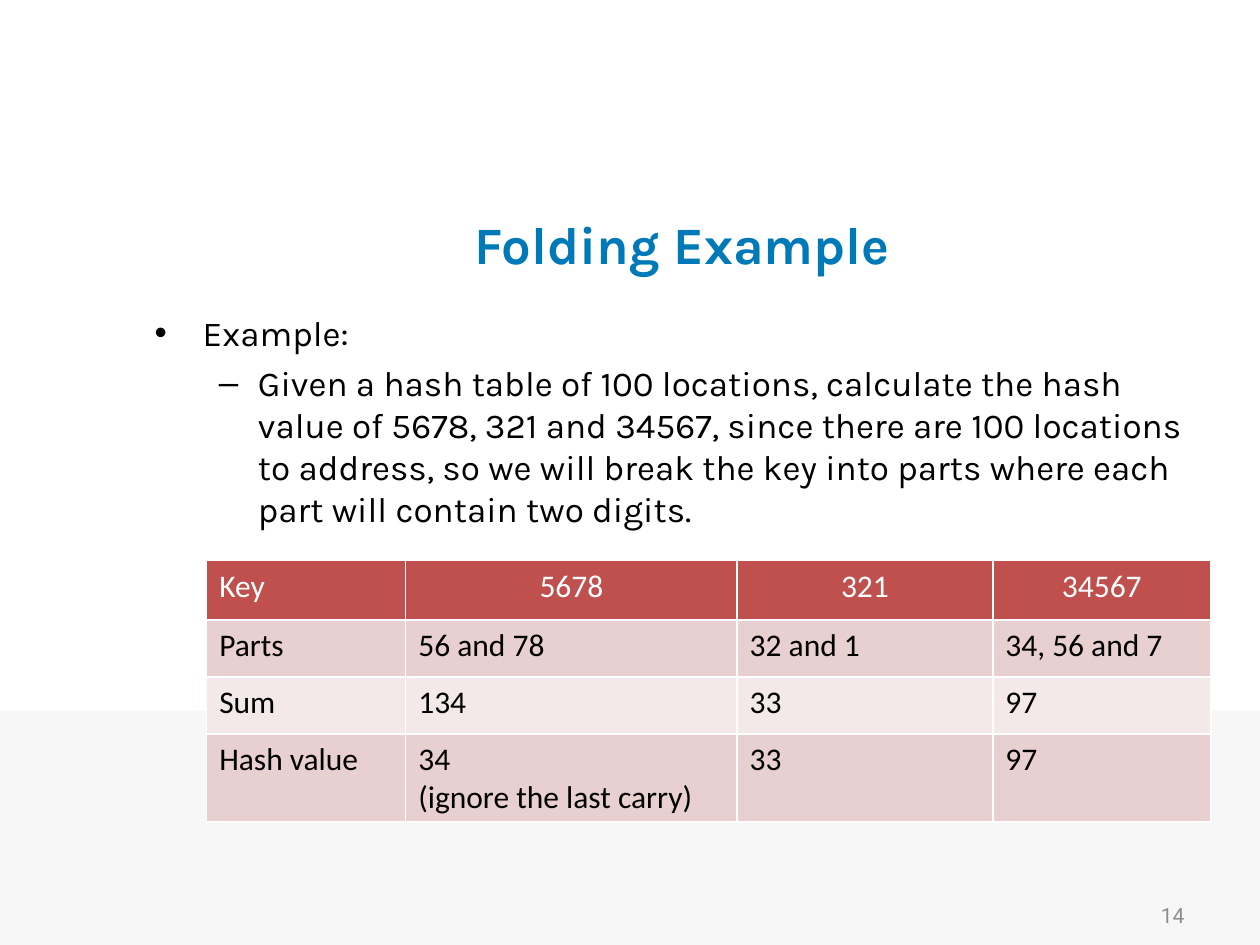
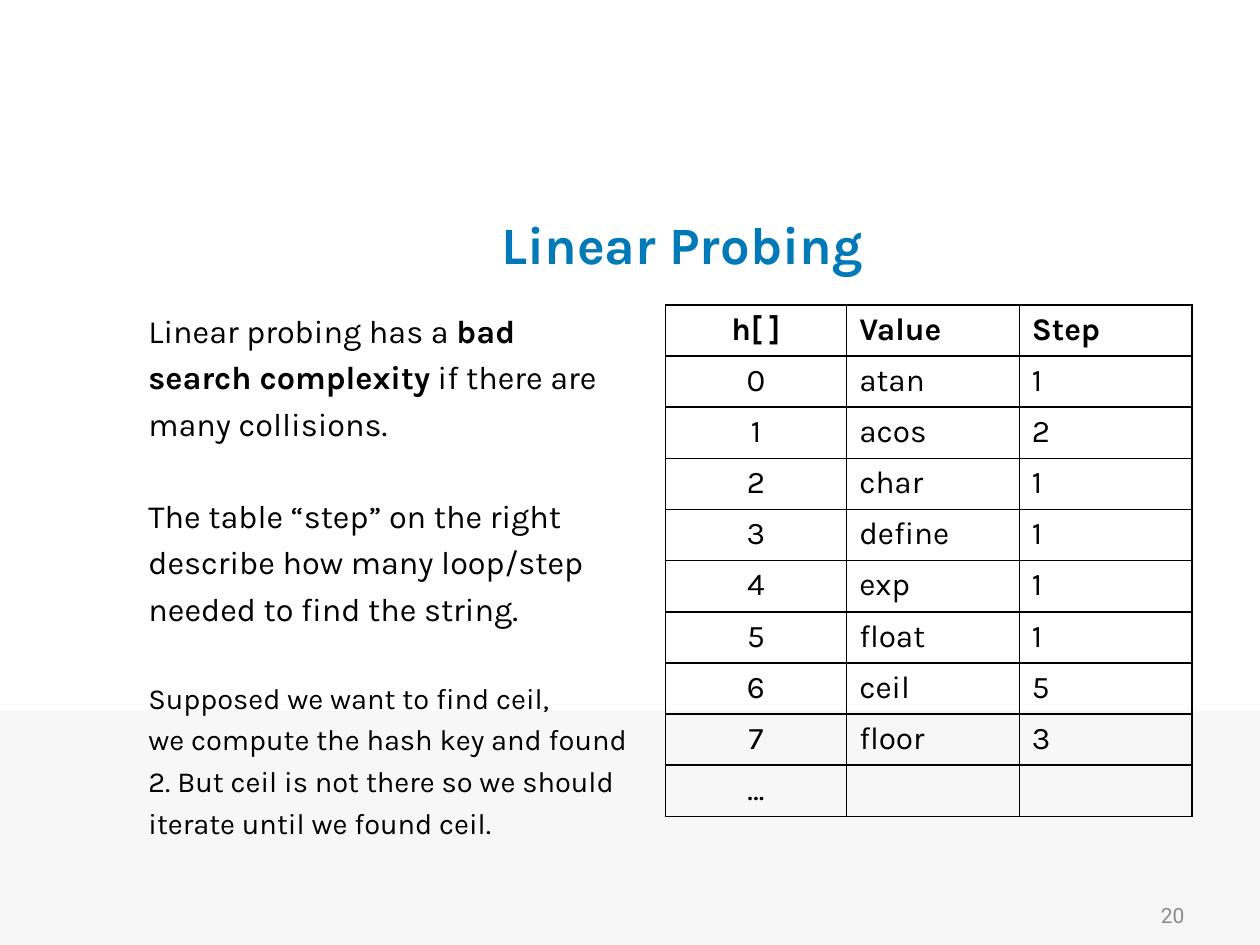
"""Build two hashing slides: a folding example and the cost of linear probing."""
from dataclasses import dataclass

from lxml.etree import SubElement
from pptx import Presentation
from pptx.dml.color import RGBColor
from pptx.enum.shapes import MSO_SHAPE as Preset
from pptx.enum.text import MSO_ANCHOR as Anchor, MSO_AUTO_SIZE as AutoSize, PP_ALIGN as Align
from pptx.oxml.ns import qn
from pptx.util import Pt


@dataclass(frozen=True)
class Theme:
    text_font: str = "Karla"
    table_font: str = "Calibri"
    number_font: str = "Roboto"
    title_color: str = "0079B8"
    text_color: str = "000000"
    number_color: str = "8C8C8C"
    white: str = "FFFFFF"
    band_color: str = "F7F7F7"
    header_fill: str = "C0504D"
    stripe_fills: tuple = ("E8D0D0", "F4E9E9")
    title_size: float = 30
    body_size: float = 20
    prose_size: float = 18.5
    note_size: float = 16.6
    table_size: float = 18
    number_size: float = 12
    paragraph_gap: float = 0.234
    blank_line: float = 26


THEME = Theme()

SLIDE_SIZE = (720, 540)
BAND_BOX = (0, 406, 720, 134)
TITLE_BOX = (77.76, 108, 624.24, 62.64)
BODY_BOX = (77.76, 174.24, 624.24, 306)
NUMBER_BOX = (516.24, 508.32, 167.76, 28.8)

FOLDING_BULLETS = [
    ("•", 31, -27.4, "Example:"),
    ("–", 62.6, -22.3,
     "Given a hash table of 100 locations, calculate the hash value of 5678, 321 and 34567, "
     "since there are 100 locations to address, so we will break the key into parts where each "
     "part will contain two digits."),
]
FOLDING_ROWS = [
    ("Key", "5678", "321", "34567"),
    ("Parts", "56 and 78", "32 and 1", "34, 56 and 7"),
    ("Sum", "134", "33", "97"),
    ("Hash value", "34\n(ignore the last carry)", "33", "97"),
]
FOLDING_COLUMNS = (113.76, 189.36, 146.16, 124.56)
FOLDING_HEIGHTS = (33.8, 32.6, 32.6, 46)

PROBING_BLOCKS = [
    (THEME.prose_size, ["Linear probing has a **bad**", "**search complexity** if there are",
                        "many collisions."]),
    (THEME.prose_size, ["The table “step” on the right", "describe how many loop/step",
                        "needed to find the string."]),
    (THEME.note_size, ["Supposed we want to find ceil,", "we compute the hash key and found",
                       "2. But ceil is not there so we should", "iterate until we found ceil."]),
]
PROBED_WORDS = [("atan", 1), ("acos", 2), ("char", 1), ("define", 1), ("exp", 1),
                ("float", 1), ("ceil", 5), ("floor", 3)]
PROBING_ROWS = [("**h[ ]**", "**Value**", "**Step**"),
                *((str(slot), word, str(step)) for slot, (word, step) in enumerate(PROBED_WORDS)),
                ("…", "", "")]
PROBING_COLUMNS = (103.68, 98.64, 98.64)
PROBING_HEIGHTS = (29.25,) * len(PROBING_ROWS)


def points(box):
    return [Pt(length) for length in box]


def write_text(paragraph, text, *, size, font=THEME.text_font, color=THEME.text_color,
               bold=False, align=Align.LEFT, space_before=0):
    paragraph.alignment = align
    paragraph.space_before = Pt(space_before)
    for index, part in enumerate(text.split("**")):
        if part:
            run = paragraph.add_run()
            run.text = part
            run.font.size = Pt(size)
            run.font.name = font
            run.font.bold = bold or index % 2 == 1
            run.font.color.rgb = RGBColor.from_string(color)


def next_paragraph(frame, index):
    return frame.add_paragraph() if index else frame.paragraphs[0]


def add_frame(slide, box, anchor=Anchor.TOP):
    frame = slide.shapes.add_textbox(*points(box)).text_frame
    frame.word_wrap = True
    frame.vertical_anchor = anchor
    return frame


def set_bullet(paragraph, symbol, margin, indent):
    properties = paragraph._p.get_or_add_pPr()
    properties.set("marL", str(Pt(margin)))
    properties.set("indent", str(Pt(indent)))
    SubElement(properties, qn("a:buFont"), typeface="Arial")
    SubElement(properties, qn("a:buChar"), char=symbol)


def set_borders(cell, color):
    properties = cell._tc.get_or_add_tcPr()
    for index, side in enumerate("LRTB"):
        line = SubElement(properties, qn(f"a:ln{side}"), w=str(Pt(1)))
        fill = SubElement(line, qn("a:solidFill"))
        SubElement(fill, qn("a:srgbClr"), val=color)
        properties.insert(index, line)


def add_grid(slide, left, top, rows, widths, heights, *, border, font, style):
    box = (left, top, sum(widths), sum(heights))
    table = slide.shapes.add_table(len(rows), len(widths), *points(box)).table
    table.first_row = table.horz_banding = False
    for column, width in zip(table.columns, widths):
        column.width = Pt(width)
    for row_index, (row, height) in enumerate(zip(rows, heights)):
        table.rows[row_index].height = Pt(height)
        for column_index, text in enumerate(row):
            cell = table.cell(row_index, column_index)
            fill, color, align = style(row_index, column_index)
            if fill:
                cell.fill.solid()
                cell.fill.fore_color.rgb = RGBColor.from_string(fill)
            else:
                cell.fill.background()
            set_borders(cell, border)
            for index, line in enumerate(text.split("\n")):
                write_text(next_paragraph(cell.text_frame, index), line,
                           size=THEME.table_size, font=font, color=color, align=align)


def folding_style(row, column):
    if row == 0:
        return THEME.header_fill, THEME.white, Align.CENTER if column else Align.LEFT
    return THEME.stripe_fills[(row - 1) % 2], THEME.text_color, Align.LEFT


def probing_style(row, column):
    return None, THEME.text_color, Align.LEFT if column else Align.CENTER


def add_slide(presentation, title, number):
    slide = presentation.slides.add_slide(presentation.slide_layouts[5])
    band = slide.shapes.add_shape(Preset.RECTANGLE, *points(BAND_BOX))
    band.shadow.inherit = False
    band.fill.solid()
    band.fill.fore_color.rgb = RGBColor.from_string(THEME.band_color)
    band.line.fill.background()

    heading = slide.shapes.title
    heading.left, heading.top, heading.width, heading.height = points(TITLE_BOX)
    heading.text_frame.auto_size = AutoSize.NONE
    heading.text_frame.vertical_anchor = Anchor.MIDDLE
    write_text(heading.text_frame.paragraphs[0], title, size=THEME.title_size,
               color=THEME.title_color, bold=True, align=Align.CENTER)

    write_text(add_frame(slide, NUMBER_BOX, Anchor.MIDDLE).paragraphs[0], str(number),
               size=THEME.number_size, font=THEME.number_font, color=THEME.number_color,
               align=Align.RIGHT)
    return slide


def add_folding_slide(presentation):
    slide = add_slide(presentation, "Folding Example", 14)
    frame = add_frame(slide, BODY_BOX)
    for index, (symbol, margin, indent, text) in enumerate(FOLDING_BULLETS):
        paragraph = next_paragraph(frame, index)
        write_text(paragraph, text, size=THEME.body_size,
                   space_before=THEME.body_size * THEME.paragraph_gap)
        set_bullet(paragraph, symbol, margin, indent)
    add_grid(slide, 118.08, 320.4, FOLDING_ROWS, FOLDING_COLUMNS, FOLDING_HEIGHTS,
             border=THEME.white, font=THEME.table_font, style=folding_style)


def add_probing_slide(presentation):
    slide = add_slide(presentation, "Linear Probing", 20)
    frame = add_frame(slide, BODY_BOX)
    for block_index, (size, lines) in enumerate(PROBING_BLOCKS):
        for line_index, line in enumerate(lines):
            starts_block = block_index > 0 and line_index == 0
            gap = size * THEME.paragraph_gap + starts_block * THEME.blank_line
            write_text(next_paragraph(frame, block_index + line_index), line,
                       size=size, space_before=gap)
    add_grid(slide, 380.16, 174.24, PROBING_ROWS, PROBING_COLUMNS, PROBING_HEIGHTS,
             border=THEME.text_color, font=THEME.text_font, style=probing_style)


def main():
    presentation = Presentation()
    presentation.slide_width, presentation.slide_height = points(SLIDE_SIZE)
    add_folding_slide(presentation)
    add_probing_slide(presentation)
    presentation.save("out.pptx")


if __name__ == "__main__":
    main()
